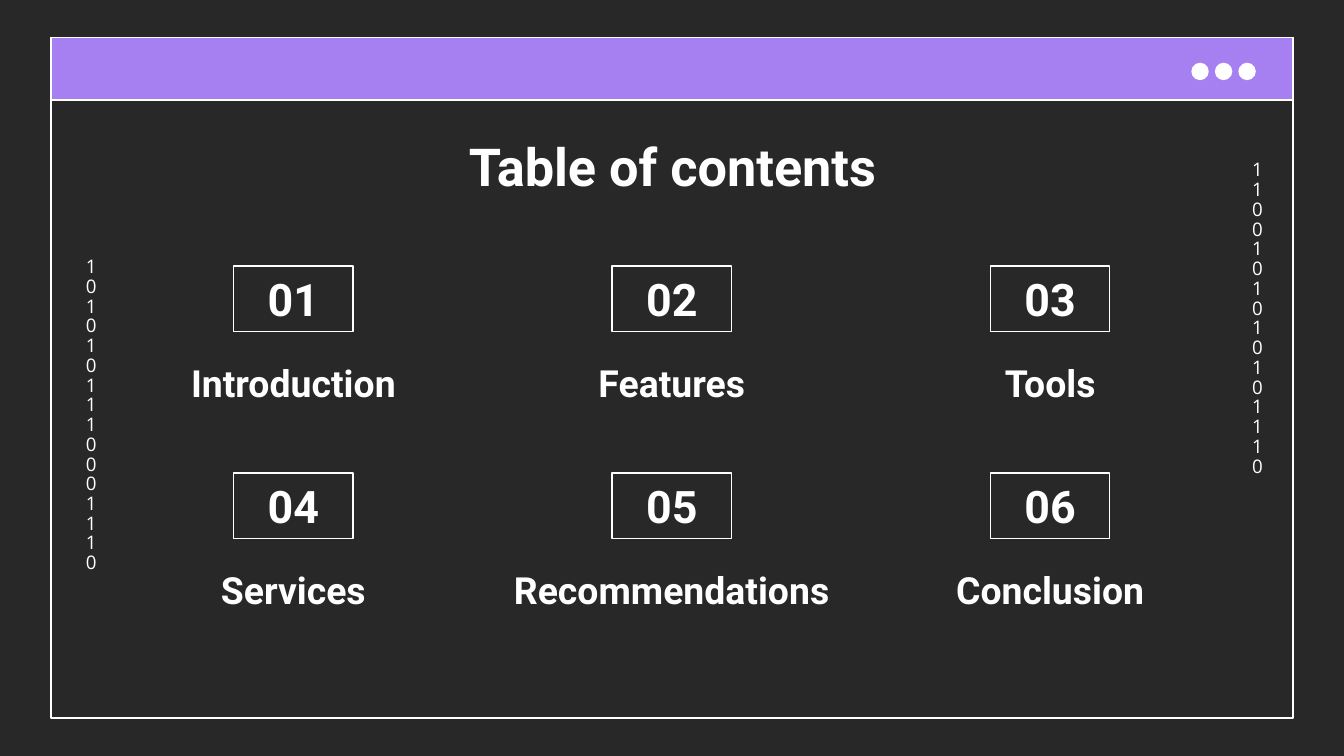
from pptx import Presentation
from pptx import util as u
from pptx.dml.color import RGBColor
from pptx.enum import shapes, text

Pt = u.Pt
DARK = RGBColor(0x29, 0x28, 0x28)
PURPLE = RGBColor(0xA6, 0x7F, 0xF1)
WHITE = RGBColor(0xFF, 0xFF, 0xFF)

TOPICS = ["Introduction", "Features", "Tools",
          "Services", "Recommendations", "Conclusion"]
COLS = 3
COL_PITCH, ROW_PITCH = 202.7, 110.9
LABEL_LEFT, LABEL_W = 56.7, 201
NUMBER_W, NUMBER_H = 64, 35.2


def set_text(sp, content, size, name="Roboto", bold=True,
             anchor=text.MSO_ANCHOR.TOP, spacing=None):
    """Write centred white text, one paragraph for each line."""
    tf = sp.text_frame
    frame = dict(word_wrap=True, auto_size=text.MSO_AUTO_SIZE.NONE,
                 vertical_anchor=anchor, margin_left=Pt(7.2),
                 margin_right=Pt(7.2), margin_top=Pt(7.2),
                 margin_bottom=Pt(7.2))
    for key, value in frame.items():
        setattr(tf, key, value)
    tf.text = content
    for p in tf.paragraphs:
        p.alignment = text.PP_ALIGN.CENTER
        p.line_spacing = spacing
        for r in p.runs:
            for key, value in dict(size=Pt(size), name=name, bold=bold).items():
                setattr(r.font, key, value)
            r.font.color.rgb = WHITE


def add_shape(s, kind, x, y, w, h, fill=None):
    """Add a white-outlined shape, hollow unless a fill is given."""
    sp = s.shapes.add_shape(kind, Pt(x), Pt(y), Pt(w), Pt(h))
    sp.shadow.inherit = False
    if fill is None:
        sp.fill.background()
    else:
        sp.fill.solid()
        sp.fill.fore_color.rgb = fill
    sp.line.color.rgb = WHITE
    sp.line.width = Pt(0.75)
    return sp


def add_text(s, content, x, y, w, h, size, **style):
    sp = s.shapes.add_textbox(Pt(x), Pt(y), Pt(w), Pt(h))
    set_text(sp, content, size, **style)


def add_window(s):
    """Browser window: frame, title bar and three buttons."""
    rect, oval = shapes.MSO_SHAPE.RECTANGLE, shapes.MSO_SHAPE.OVAL
    add_shape(s, rect, 27.4, 20.2, 665.2, 364.5)
    add_shape(s, rect, 27.4, 20.2, 665.2, 33.5, PURPLE)
    for i in range(3):
        add_shape(s, oval, 638.6 + 12.6 * i, 34, 8.6, 8.6, WHITE)


def add_digits(s, content, x, y):
    """Narrow box that wraps after every digit."""
    add_text(s, content, x, y, 17.3, 201.6, 10,
             name="Open Sans", bold=False, spacing=0.88)


def add_title(s, content):
    sp = s.shapes.title
    sp.left, sp.top, sp.width, sp.height = Pt(56.7), Pt(64.8), Pt(607), Pt(45.4)
    set_text(sp, content, 28)


def add_topic(s, i, topic):
    """Boxed number with its topic below, placed on the grid."""
    row, col = divmod(i, COLS)
    x, y = LABEL_LEFT + col * COL_PITCH, 142.5 + row * ROW_PITCH
    box = add_shape(s, shapes.MSO_SHAPE.RECTANGLE,
                    x + (LABEL_W - NUMBER_W) / 2, y, NUMBER_W, NUMBER_H)
    set_text(box, f"{i + 1:02}", 24, anchor=text.MSO_ANCHOR.MIDDLE)
    add_text(s, topic, x, y + 43.2, LABEL_W, 40.3 + 5 * row, 20)


def main():
    prs = Presentation()
    prs.slide_width, prs.slide_height = Pt(720), Pt(405)
    s = prs.slides.add_slide(prs.slide_layouts[5])
    s.background.fill.solid()
    s.background.fill.fore_color.rgb = DARK

    # Window and binary decoration
    add_window(s)
    add_digits(s, "1100101010101110", 663.8, 79.2)
    add_digits(s, "101010111000111\n0", 38.9, 131)

    # Title and contents grid
    add_title(s, "Table of contents")
    for i, topic in enumerate(TOPICS):
        add_topic(s, i, topic)

    prs.save("out.pptx")


if __name__ == "__main__":
    main()
